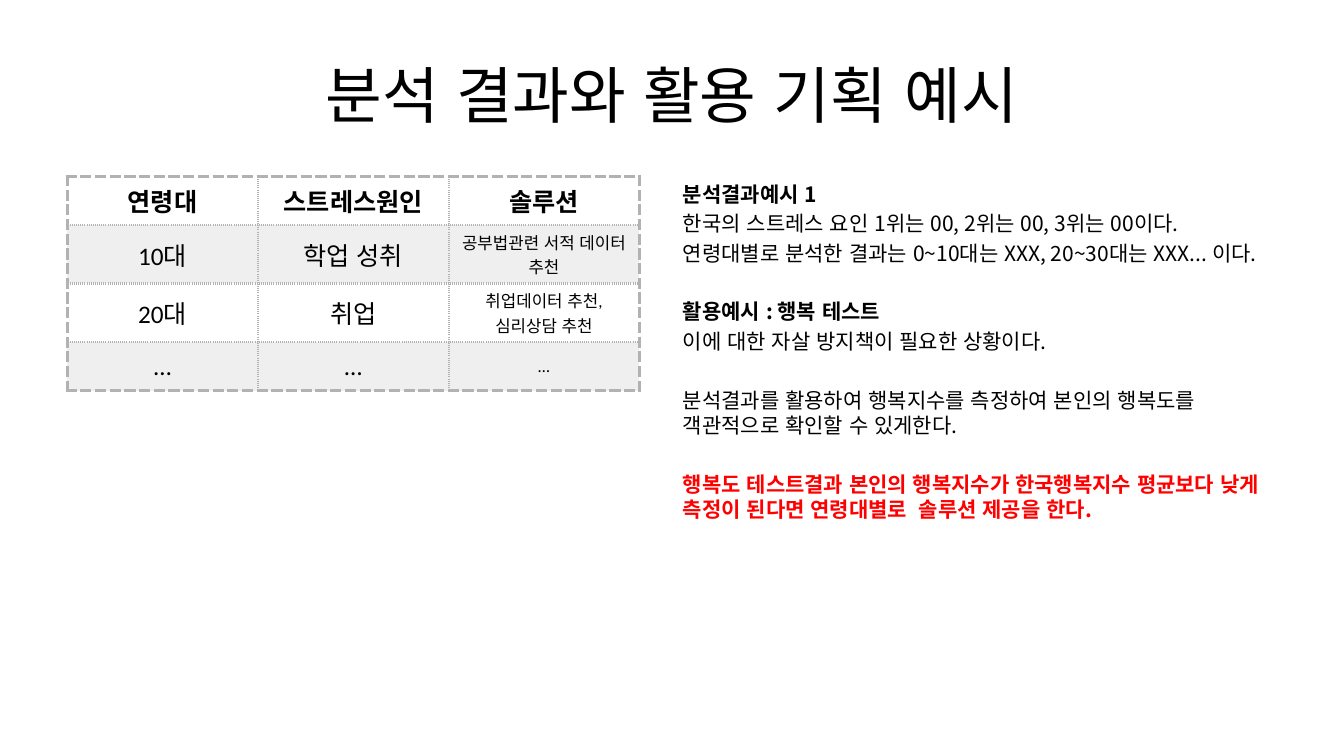
from lxml import etree
from pptx import Presentation
from pptx.dml.color import RGBColor
from pptx.enum.lang import MSO_LANGUAGE_ID
from pptx.enum.text import MSO_ANCHOR, PP_ALIGN
from pptx.oxml.ns import qn
from pptx.util import Pt

PX = 9525
BLACK = RGBColor(0, 0, 0)
RED = RGBColor(255, 0, 0)
BAND = RGBColor(239, 239, 239)
GREY = RGBColor(178, 178, 178)
CENTER = PP_ALIGN.CENTER
MIDDLE = MSO_ANCHOR.MIDDLE
KOREAN = MSO_LANGUAGE_ID.KOREAN
SANS = "Noto Sans CJK KR"


def style(para, face, size, bold=False, color=BLACK):
    font = para.font
    font.name = face
    font.size = Pt(size)
    font.bold = bold
    font.color.rgb = color
    for run in para.runs:
        run.font.language_id = KOREAN


def border(cell, sides):
    props = cell._tc.get_or_add_tcPr()
    for place, (side, outer) in enumerate(sides):
        width, dash = (2.57, "dash") if outer else (1.79, "sysDot")
        line = etree.Element(qn("a:ln" + side), w=str(Pt(width)))
        fill = etree.SubElement(line, qn("a:solidFill"))
        etree.SubElement(fill, qn("a:srgbClr"), val=str(GREY))
        etree.SubElement(line, qn("a:prstDash"), val=dash)
        props.insert(place, line)


deck = Presentation()
deck.slide_width = 1280 * PX
deck.slide_height = 720 * PX
slide = deck.slides.add_slide(deck.slide_layouts[6])
shapes = slide.shapes

title = shapes.add_textbox(64 * PX, 29 * PX, 1152 * PX, 120 * PX).text_frame
title.word_wrap = True
title.vertical_anchor = MIDDLE
title.text = "분석 결과와 활용 기획 예시"
para = title.paragraphs[0]
para.alignment = CENTER
style(para, "Calibri", 44)

notes = [
    ("분석결과예시 1", 0, True, BLACK),
    ("한국의 스트레스 요인 1위는 00, 2위는 00, 3위는 00이다.", 3, False, BLACK),
    ("연령대별로 분석한 결과는 0~10대는 XXX, 20~30대는 XXX... 이다.", 3, False, BLACK),
    ("활용예시 : 행복 테스트", 24, True, BLACK),
    ("이에 대한 자살 방지책이 필요한 상황이다.", 3, False, BLACK),
    ("분석결과를 활용하여 행복지수를 측정하여 본인의 행복도를 객관적으로 확인할 수 있게한다.",
     24, False, BLACK),
    ("행복도 테스트결과 본인의 행복지수가 한국행복지수 평균보다 낮게 측정이 된다면 "
     "연령대별로  솔루션 제공을 한다.", 24, True, RED),
]
body = shapes.add_textbox(641 * PX, 168 * PX, 576 * PX, 475 * PX).text_frame
body.word_wrap = True
for index, (text, gap, bold, color) in enumerate(notes):
    para = body.add_paragraph() if index else body.paragraphs[0]
    para.text = text
    para.space_before = Pt(gap)
    style(para, SANS, 15, bold, color)

rows = [
    (46, "연령대", "스트레스원인", "솔루션"),
    (56, "10대", "학업 성취", "공부법관련 서적 데이터 추천"),
    (56, "20대", "취업", "취업데이터 추천, 심리상담 추천"),
    (46, "…", "…", "…"),
]
last_row = len(rows) - 1
last_col = 2
table = shapes.add_table(len(rows), 3, 64 * PX, 168 * PX,
                         545 * PX, 204 * PX).table
table.first_row = False
table.horz_banding = False
for r, (height, *row) in enumerate(rows):
    table.rows[r].height = height * PX
    for c, text in enumerate(row):
        cell = table.cell(r, c)
        cell.text = text
        cell.vertical_anchor = MIDDLE
        para = cell.text_frame.paragraphs[0]
        para.alignment = CENTER
        style(para, "Calibri", 12 if r and c == last_col else 18, r == 0)
        if r % 2:
            cell.fill.solid()
            cell.fill.fore_color.rgb = BAND
        else:
            cell.fill.background()
        border(cell, [("L", c == 0), ("R", c == last_col),
                      ("T", r == 0), ("B", r == last_row)])

deck.save("out.pptx")
